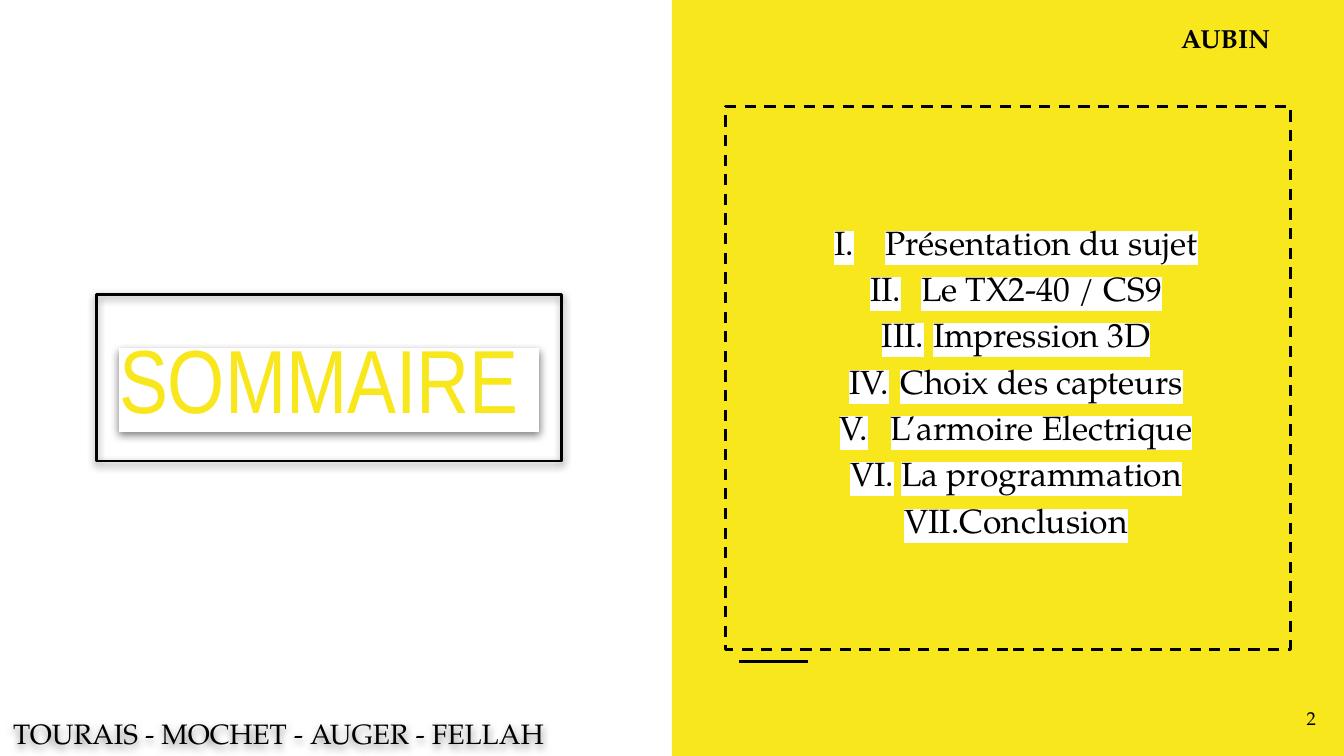
import pptx
import pptx.util
import pptx.dml.color
import pptx.enum.dml
import pptx.enum.shapes
import pptx.enum.text
import pptx.oxml
import pptx.oxml.ns
from lxml import etree

Inches, Pt = pptx.util.Inches, pptx.util.Pt
ALIGN = pptx.enum.text.PP_ALIGN
ANCHOR = pptx.enum.text.MSO_ANCHOR
qn = pptx.oxml.ns.qn

# Content
TITLE = "SOMMAIRE "
AGENDA = [
    "Présentation du sujet",
    "Le TX2-40 / CS9",
    "Impression 3D",
    "Choix des capteurs",
    "L’armoire Electrique",
    "La programmation",
    "Conclusion",
]
SPEAKER = "AUBIN"
TEAM = "TOURAIS - MOCHET - AUGER - FELLAH"
PAGE = "2"

COLORS = {"yellow": "F8E71C", "black": "000000", "white": "FFFFFF"}
SERIF, NARROW = "TeX Gyre Pagella", "Arial Narrow"
WIDTH = 10
HEIGHT = WIDTH * 9 / 16


def rgb(name):
    return pptx.dml.color.RGBColor.from_string(COLORS[name])


def add_color(parent, tag, name):
    el = etree.SubElement(parent, qn(tag))
    return etree.SubElement(el, qn("a:srgbClr"), val=COLORS[name])


def place(sp, left, top, width, height):
    sp.left, sp.top = Inches(left), Inches(top)
    sp.width, sp.height = Inches(width), Inches(height)


def outline(sp, dash=None):
    sp.line.color.rgb = rgb("black")
    sp.line.width = Pt(1.5)
    if dash:
        sp.line.dash_style = dash


def add_shadow(sp):
    effects = etree.SubElement(sp._element.spPr, qn("a:effectLst"))
    shadow = etree.SubElement(effects, qn("a:outerShdw"), blurRad=str(Pt(4.5)),
                              dist=str(Pt(1.5)), dir="5400000", rotWithShape="0")
    clr = etree.SubElement(shadow, qn("a:srgbClr"), val=COLORS["black"])
    etree.SubElement(clr, qn("a:alpha"), val="50000")


def add_roman(p):
    pPr = p._p.get_or_add_pPr()
    pPr.set("marL", str(Inches(0.5)))
    pPr.set("indent", str(Inches(-0.38)))
    add_color(pPr, "a:buClr", "black")
    etree.SubElement(pPr, qn("a:buFont"), typeface=SERIF)
    etree.SubElement(pPr, qn("a:buAutoNum"), type="romanUcPeriod")


def write(sp, lines, size, font=SERIF, color="black", bold=False, align=ALIGN.LEFT,
          anchor=ANCHOR.TOP, highlight=None, spacing=1.0, roman=False):
    tf = sp.text_frame
    tf.word_wrap = True
    tf.auto_size = pptx.enum.text.MSO_AUTO_SIZE.NONE
    tf.vertical_anchor = anchor
    tf.margin_left = tf.margin_right = tf.margin_top = tf.margin_bottom = Inches(0.1)
    for i, line in enumerate(lines):
        p = tf.paragraphs[0] if i == 0 else tf.add_paragraph()
        if roman:
            add_roman(p)
        p.alignment = align
        p.line_spacing = spacing
        p.space_before = Pt(0)
        r = p.add_run()
        r.text = line
        r.font.size = Pt(size)
        r.font.bold = bold
        r.font.color.rgb = rgb(color)
        if highlight:
            add_color(r.font._element, "a:highlight", highlight)
        r.font.name = font


def add_label(slide, text, box, size, **fmt):
    sp = slide.shapes.add_textbox(*map(Inches, box))
    write(sp, [text], size, **fmt)
    return sp


prs = pptx.Presentation()
prs.slide_width, prs.slide_height = Inches(WIDTH), Inches(HEIGHT)
slide = prs.slides.add_slide(prs.slide_layouts[1])
title, body = slide.placeholders

# Yellow right half, sent behind the placeholders
panel = slide.shapes.add_shape(pptx.enum.shapes.MSO_SHAPE.RECTANGLE, Inches(WIDTH / 2), 0,
                               Inches(WIDTH / 2), Inches(HEIGHT))
panel.shadow.inherit = False
panel.fill.solid()
panel.fill.fore_color.rgb = rgb("yellow")
panel.line.fill.background()
title._element.addprevious(panel._element)

# Short rule under the agenda
rule = slide.shapes.add_connector(pptx.enum.shapes.MSO_CONNECTOR.STRAIGHT, Inches(5.5),
                                  Inches(4.92), Inches(6.01), Inches(4.92))
outline(rule)
etree.SubElement(rule._element.spPr, qn("a:effectLst"))

# Title in a shadowed frame
place(title, 0.72, 2.19, 3.46, 1.24)
outline(title)
add_shadow(title)
write(title, [TITLE], 48, font=NARROW, color="yellow", align=ALIGN.CENTER,
      anchor=ANCHOR.MIDDLE, highlight="white")

# Agenda in a dashed frame
place(body, 5.4, 0.79, 4.2, 4.04)
outline(body, pptx.enum.dml.MSO_LINE.DASH)
write(body, AGENDA, 18, align=ALIGN.CENTER, anchor=ANCHOR.MIDDLE, highlight="white",
      spacing=1.15, roman=True)

# Page number, speaker and team
add_label(slide, PAGE, (9.29, 5.13, 0.6, 0.43), 10, align=ALIGN.RIGHT, anchor=ANCHOR.MIDDLE)
add_label(slide, SPEAKER, (8.69, 0.07, 1.26, 0.37), 14, bold=True)
team = add_label(slide, TEAM, (0, 5.23, 6.31, 0.4), 15)
add_shadow(team)

prs.save("out.pptx")
